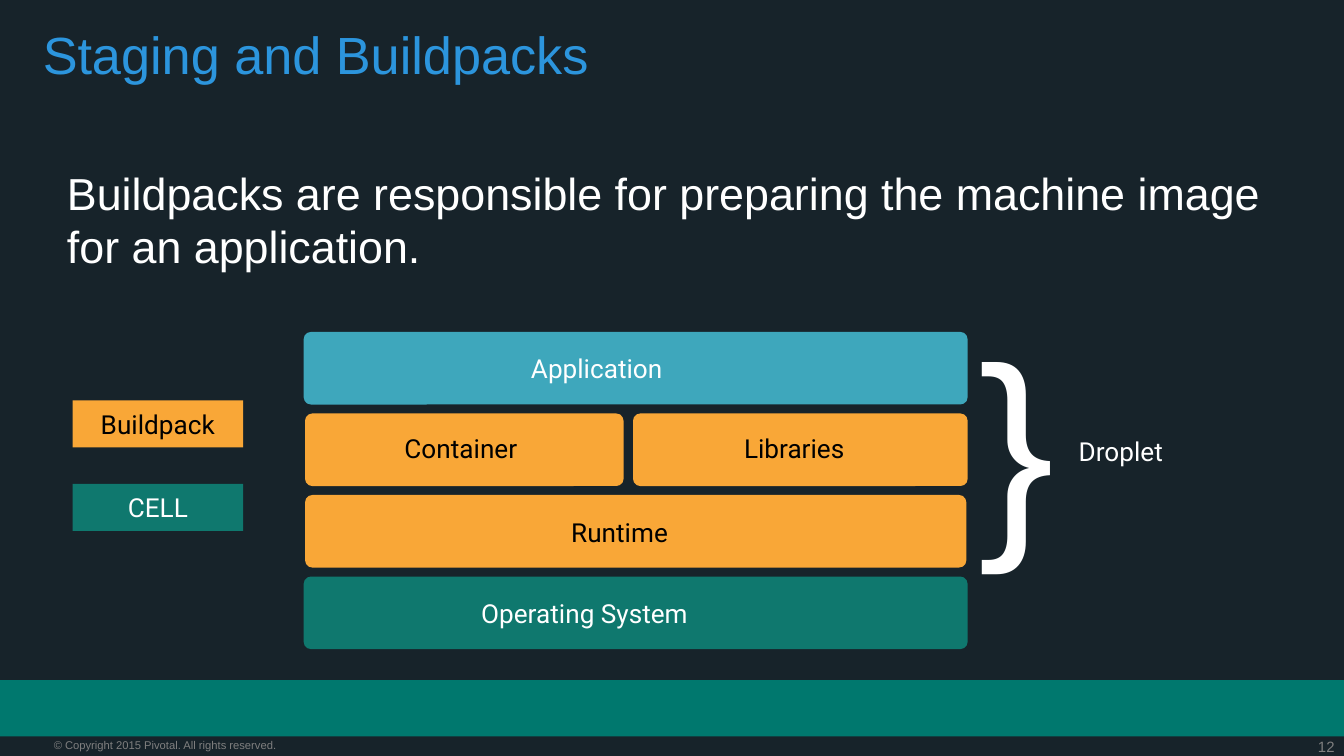
"""Build the "Staging and Buildpacks" slide."""
from pptx import Presentation
from pptx.dml.color import RGBColor
from pptx.enum.shapes import MSO_SHAPE
from pptx.enum.text import MSO_ANCHOR, PP_ALIGN
from pptx.util import Inches, Pt

RECTANGLE, ROUNDED = MSO_SHAPE.RECTANGLE, MSO_SHAPE.ROUNDED_RECTANGLE
TOP, MIDDLE = MSO_ANCHOR.TOP, MSO_ANCHOR.MIDDLE
LEFT, CENTER, RIGHT = PP_ALIGN.LEFT, PP_ALIGN.CENTER, PP_ALIGN.RIGHT

COLORS = {
    "background": "17232A", "footer": "00786E", "muted": "7F7F7F",
    "title": "2C95DD", "white": "FFFFFF", "black": "000000",
    "orange": "F9A737", "green": "0F786E", "blue": "3EA7BC",
}

TITLE = "Staging and Buildpacks"
BODY = "Buildpacks are responsible for preparing the machine image for an application."
COPYRIGHT = "© Copyright 2015 Pivotal. All rights reserved."
PAGE_NUMBER = "12"

STACK = [
    [{"label": "Application", "left": 2.26, "width": 4.94, "center": (4.44, 2.74),
      "fill": "blue", "text": "white", "label_width": 1.44}],
    [{"label": "Container", "left": 2.27, "width": 2.37, "center": (3.43, 3.33),
      "fill": "orange", "text": "black", "label_width": 1},
     {"label": "Libraries", "left": 4.71, "width": 2.49, "center": (5.91, 3.33),
      "fill": "orange", "text": "black", "label_width": 0.9}],
    [{"label": "Runtime", "left": 2.27, "width": 4.92, "center": (4.61, 3.96),
      "fill": "orange", "text": "black", "label_width": 0.85}],
    [{"label": "Operating System", "left": 2.26, "width": 4.94, "center": (4.35, 4.56),
      "fill": "green", "text": "white", "label_width": 2.18}],
]
STACK_TOP, LAST_ROW_TOP, BAR_HEIGHT, LABEL_HEIGHT = 2.47, 4.29, 0.54, 0.35

LEGEND = [("Buildpack", "orange", "black"), ("CELL", "green", "white")]
LEGEND_LEFT, LEGEND_TOP, LEGEND_WIDTH, LEGEND_PITCH = 0.54, 2.98, 1.27, 0.62


def color(name):
    return RGBColor.from_string(COLORS[name])


def write(shape, text, size, text_color, font="Roboto", align=CENTER,
          anchor=MIDDLE, insets=(0.06, 0.06), wrap=True):
    frame = shape.text_frame
    frame.word_wrap = wrap
    frame.vertical_anchor = anchor
    frame.margin_left = frame.margin_right = Inches(insets[0])
    frame.margin_top = frame.margin_bottom = Inches(insets[1])
    paragraph = frame.paragraphs[0]
    paragraph.text = text
    paragraph.alignment = align
    paragraph.font.name = font
    paragraph.font.size = Pt(size)
    paragraph.font.color.rgb = color(text_color)
    return paragraph


def add_text(slide, box, *args, **options):
    shape = slide.shapes.add_textbox(*map(Inches, box))
    return write(shape, *args, **options)


def add_block(slide, kind, box, fill):
    shape = slide.shapes.add_shape(kind, *map(Inches, box))
    shape.shadow.inherit = False
    shape.fill.solid()
    shape.fill.fore_color.rgb = color(fill)
    shape.line.fill.background()
    return shape


def add_frame(slide):
    add_block(slide, RECTANGLE, (0, 5.06, 10, 0.42), "footer")
    plain = {"font": "Arial", "anchor": TOP, "insets": (0, 0)}
    add_text(slide, (9.35, 5.49, 0.58, 0.14), PAGE_NUMBER, 8, "muted", align=RIGHT, **plain)
    add_text(slide, (0.4, 5.49, 2.49, 0.1), COPYRIGHT, 6, "muted", align=LEFT, **plain)
    main_text = {"font": "Arial", "align": LEFT, "anchor": TOP, "insets": (0.1, 0.05)}
    title = add_text(slide, (0.22, 0.17, 9.2, 0.68), TITLE, 28, "title", **main_text)
    title.line_spacing = 0.9
    add_text(slide, (0.4, 1.18, 9.2, 3.75), BODY, 24, "white", **main_text)


def add_stack(slide):
    pitch = (LAST_ROW_TOP - STACK_TOP) / (len(STACK) - 1)
    for index, row in enumerate(STACK):
        top = STACK_TOP + index * pitch
        for layer in row:
            bar_box = (layer["left"], top, layer["width"], BAR_HEIGHT)
            bar = add_block(slide, ROUNDED, bar_box, layer["fill"])
            bar.adjustments[0] = 0.1
            center_x, center_y = layer["center"]
            label_box = (center_x - layer["label_width"] / 2, center_y - LABEL_HEIGHT / 2,
                         layer["label_width"], LABEL_HEIGHT)
            add_text(slide, label_box, layer["label"], 14, layer["text"], wrap=False)


def add_legend(slide):
    for index, (label, fill, text_color) in enumerate(LEGEND):
        top = LEGEND_TOP + index * LEGEND_PITCH
        box = (LEGEND_LEFT, top, LEGEND_WIDTH, LABEL_HEIGHT)
        write(add_block(slide, RECTANGLE, box, fill), label, 14, text_color)


def main():
    presentation = Presentation()
    presentation.slide_width = Inches(10)
    presentation.slide_height = presentation.slide_width * 9 // 16
    slide = presentation.slides.add_slide(presentation.slide_layouts[6])
    slide.background.fill.solid()
    slide.background.fill.fore_color.rgb = color("background")
    add_frame(slide)
    add_stack(slide)
    add_legend(slide)
    add_text(slide, (7.22, 2.16, 0.68, 2.17), "}", 122, "white", font="Arial", wrap=False)
    add_text(slide, (7.94, 3.18, 0.8, 0.35), "Droplet", 14, "white", wrap=False)
    presentation.save("out.pptx")


if __name__ == "__main__":
    main()
